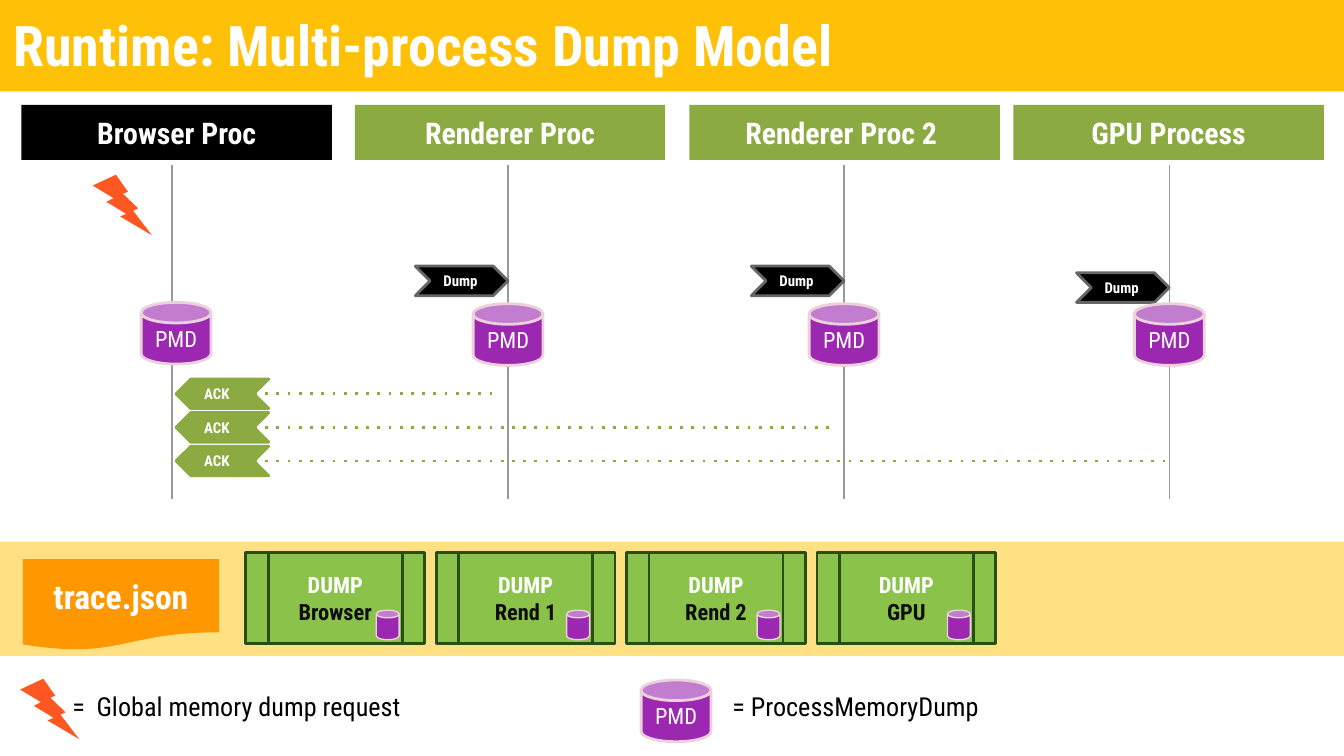
from dataclasses import dataclass

from lxml.etree import SubElement
from pptx import Presentation
from pptx.dml.color import RGBColor
from pptx.enum.shapes import MSO_CONNECTOR as Connector, MSO_SHAPE as Shape
from pptx.enum.text import MSO_ANCHOR as Anchor, MSO_AUTO_SIZE as AutoSize, PP_ALIGN as Align
from pptx.oxml.ns import qn
from pptx.util import Inches, Pt

FONT = "Roboto Condensed"
WHITE, BLACK, INK = "FFFFFF", "000000", "0E0E0E"
OLIVE, PURPLE, PINK, FLAME = "8BAB42", "9C27B0", "EAD1DC", "FF5722"


@dataclass
class Span:
    text: str
    size: float
    color: str = WHITE
    bold: bool = True


@dataclass
class Lane:
    name: str
    left: float
    axis: float
    dump: str
    color: str = OLIVE
    request_top: float = 1.98
    ack_end: float = 0


LANES = [
    Lane("Browser Proc", 0.16, 1.28, "Browser", color=BLACK),
    Lane("Renderer Proc", 2.64, 3.78, "Rend 1", ack_end=3.72),
    Lane("Renderer Proc 2 ", 5.13, 6.28, "Rend 2", ack_end=6.22),
    Lane("GPU Process", 7.54, 8.7, "GPU", request_top=2.03, ack_end=8.71),
]


def rgb(value: str) -> RGBColor:
    return RGBColor.from_string(value)


def write(box, spans: list[Span], align=Align.CENTER, anchor=Anchor.MIDDLE, sides=(0.05, 0.05)) -> None:
    """Fill a shape with one paragraph per span."""
    frame = box.text_frame
    frame.word_wrap = True
    frame.auto_size = AutoSize.NONE
    frame.vertical_anchor = anchor
    frame.margin_left, frame.margin_right = map(Inches, sides)
    frame.margin_top = frame.margin_bottom = Inches(0.1)
    for index, item in enumerate(spans):
        para = frame.add_paragraph() if index else frame.paragraphs[0]
        para.alignment = align
        span = para.add_run()
        span.text = item.text
        font = span.font
        font.name, font.size, font.bold = FONT, Pt(item.size), item.bold
        font.color.rgb = rgb(item.color)


def add_block(page, kind, left: float, top: float, width: float, height: float,
              fill: str, line: str = "", weight: float = 1.5):
    block = page.shapes.add_shape(kind, Inches(left), Inches(top), Inches(width), Inches(height))
    block.shadow.inherit = False
    block.fill.solid()
    block.fill.fore_color.rgb = rgb(fill)
    if line:
        block.line.color.rgb = rgb(line)
        block.line.width = Pt(weight)
    else:
        block.line.fill.background()
    return block


def add_line(page, start: tuple, end: tuple, color: str, weight: float, dotted: bool = False) -> None:
    line = page.shapes.add_connector(Connector.STRAIGHT, *map(Inches, start + end))
    line.line.color.rgb = rgb(color)
    line.line.width = Pt(weight)
    properties = line._element.spPr
    if dotted:
        SubElement(properties.find(qn("a:ln")), qn("a:prstDash")).set("val", "dot")
    SubElement(properties, qn("a:effectLst"))


def add_can(page, left: float, top: float, width: float = 0.52, height: float = 0.46,
            weight: float = 1.5, label: str = "PMD") -> None:
    can = add_block(page, Shape.CAN, left, top, width, height, PURPLE, PINK, weight)
    can.adjustments[0] = 0.334
    if label:
        write(can, [Span(label, 12, bold=False)])


def add_chevron(page, left: float, top: float, label: str, fill: str, line: str, flipped: bool = False) -> None:
    chevron = add_block(page, Shape.CHEVRON, left, top, 0.69, 0.22, fill, line)
    if flipped:
        chevron._element.spPr.find(qn("a:xfrm")).set("flipH", "1")
    write(chevron, [Span(label, 8)], Align.LEFT, sides=(0.1, 0))


def add_legend(page, left: float, width: float, text: str) -> None:
    box = page.shapes.add_textbox(Inches(left), Inches(5.04), Inches(width), Inches(0.49))
    tabs = SubElement(box.text_frame.paragraphs[0]._p.get_or_add_pPr(), qn("a:tabLst"))
    stop = SubElement(tabs, qn("a:tab"))
    stop.set("pos", str(Inches(0.18)))
    stop.set("algn", "l")
    write(box, [Span(text, 14, BLACK, False)], Align.LEFT, Anchor.TOP, (0.1, 0.1))


def main() -> None:
    deck = Presentation()
    deck.slide_width = Inches(10)
    deck.slide_height = deck.slide_width * 9 // 16
    page = deck.slides.add_slide(deck.slide_layouts[5])

    # Title bar
    title = page.shapes.title
    title.left, title.top, title.width, title.height = map(Inches, (0, 0, 10, 0.68))
    title.fill.solid()
    title.fill.fore_color.rgb = rgb("FFC107")
    write(title, [Span("Runtime: Multi-process Dump Model", 30)], Align.LEFT, Anchor.BOTTOM, (0.1, 0.1))

    # Process headers and lifelines
    for lane in LANES:
        header = add_block(page, Shape.RECTANGLE, lane.left, 0.78, 2.31, 0.41, lane.color)
        write(header, [Span(lane.name, 16)])
        add_line(page, (lane.axis, 1.23), (lane.axis, 3.71), "999999", 0.75)

    # Dump request trigger, and the legend
    for left, top in ((0.69, 1.3), (0.15, 5.05)):
        add_block(page, Shape.LIGHTNING_BOLT, left, top, 0.44, 0.45, FLAME)
    add_legend(page, 0.44, 3.98, "=\tGlobal memory dump request")
    add_can(page, 4.77, 5.06)
    add_legend(page, 5.35, 2.15, "= ProcessMemoryDump")

    # Requests, process dumps and acknowledgements
    add_can(page, 1.05, 2.25)
    for index, lane in enumerate(LANES[1:]):
        add_chevron(page, lane.axis - 0.69, lane.request_top, "Dump", BLACK, "666666")
        add_can(page, lane.axis - 0.26, 2.26)
        top = 2.82 + 0.25 * index
        add_chevron(page, 1.31, top, "ACK", OLIVE, OLIVE, flipped=True)
        add_line(page, (1.89, top + 0.11), (lane.ack_end, top + 0.11), OLIVE, 1.5, dotted=True)

    # Trace file band
    add_block(page, Shape.RECTANGLE, 0, 4.03, 10, 0.85, "FFE082")
    trace = add_block(page, Shape.FLOWCHART_DOCUMENT, 0.17, 4.16, 1.46, 0.68, "FF9800")
    write(trace, [Span("trace.json", 18)])
    first_left, last_left = 1.83, 6.08
    pitch = (last_left - first_left) / (len(LANES) - 1)
    for index, lane in enumerate(LANES):
        left = first_left + pitch * index
        record = add_block(page, Shape.FLOWCHART_PREDEFINED_PROCESS, left, 4.11, 1.33, 0.68, "8BC34A", "274E13")
        write(record, [Span("DUMP", 12), Span(lane.dump, 12, INK)])
        add_can(page, left + 0.97, 4.54, 0.17, 0.22, 0.75, label="")

    deck.save("out.pptx")


if __name__ == "__main__":
    main()
